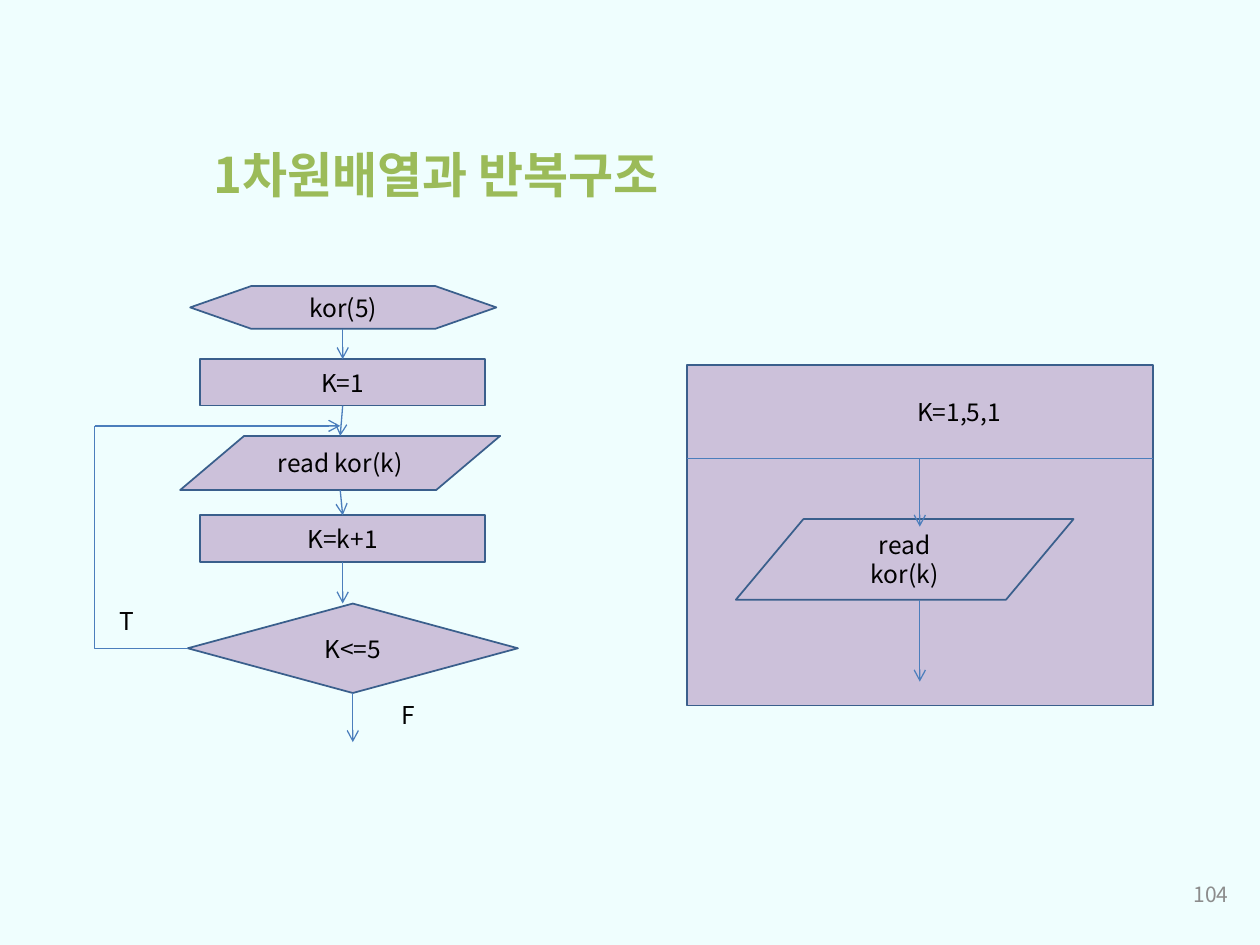
from lxml.etree import SubElement
from pptx import Presentation
from pptx.dml.color import RGBColor
from pptx.enum.shapes import MSO_CONNECTOR, MSO_SHAPE
from pptx.enum.text import MSO_ANCHOR, PP_ALIGN
from pptx.oxml.ns import qn
from pptx.util import Inches, Pt

FONT = "Noto Sans CJK KR"
BACKGROUND, LILAC, OUTLINE, ARROW = "EFFEFE", "CCC1DA", "3A5F8C", "4B7EBC"
BLACK, GRAY, GREEN = "000000", "8C8C8C", "9BBB59"


def color(value):
    """Turn a hex string into a colour."""
    return RGBColor.from_string(value)


def write(shape, lines, align=PP_ALIGN.LEFT, anchor=MSO_ANCHOR.TOP, wrap=True,
          ink=BLACK, size=14, bold=False):
    """Fill a shape with one paragraph for each line."""
    frame = shape.text_frame
    for name, value in {"word_wrap": wrap, "vertical_anchor": anchor}.items():
        setattr(frame, name, value)
    frame.text = lines
    for paragraph in frame.paragraphs:
        paragraph.alignment = align
        for run in paragraph.runs:
            for name, value in {"name": FONT, "size": Pt(size), "bold": bold}.items():
                setattr(run.font, name, value)
            run.font.color.rgb = color(ink)
            SubElement(run.font._element, qn("a:ea")).set("typeface", FONT)


def add_label(slide, box, text, **formats):
    """Place a text box."""
    write(slide.shapes.add_textbox(*map(Inches, box)), text, **formats)


def add_node(slide, kind, box, text=""):
    """Place an outlined lilac shape with centred text."""
    shape = slide.shapes.add_shape(kind, *map(Inches, box))
    shape.shadow.inherit = False
    shape.fill.solid()
    shape.fill.fore_color.rgb = color(LILAC)
    shape.line.color.rgb = color(OUTLINE)
    shape.line.width = Pt(1)
    if text:
        write(shape, text, PP_ALIGN.CENTER, MSO_ANCHOR.MIDDLE)


def add_line(slide, start, end, arrow=True, kind=MSO_CONNECTOR.STRAIGHT):
    """Draw a connector, with an arrowhead at its end if wanted."""
    connector = slide.shapes.add_connector(kind, *map(Inches, (*start, *end)))
    connector.line.color.rgb = color(ARROW)
    connector.line.width = Pt(0.75)
    properties = connector._element.spPr
    if arrow:
        SubElement(properties.find(qn("a:ln")), qn("a:tailEnd")).set("type", "arrow")
    SubElement(properties, qn("a:effectLst"))
    return connector


def add_flowchart(slide, left, top):
    """Draw the counting loop as a flowchart."""
    steps = [
        (MSO_SHAPE.FLOWCHART_PREPARATION, 0.76, 0, 2.43, 0.34, "kor(5)"),
        (MSO_SHAPE.RECTANGLE, 0.84, 0.58, 2.26, 0.37, "K=1"),
        (MSO_SHAPE.FLOWCHART_DATA, 0.68, 1.19, 2.54, 0.43, "read kor(k)"),
        (MSO_SHAPE.RECTANGLE, 0.84, 1.82, 2.26, 0.37, "K=k+1"),
        (MSO_SHAPE.FLOWCHART_DECISION, 0.74, 2.52, 2.62, 0.71, "K<=5"),
    ]
    for kind, x, y, width, height, text in steps:
        add_node(slide, kind, (left + x, top + y, width, height), text)
    middle, read_middle, decision_middle = left + 1.97, left + 1.95, left + 2.05
    ports = [middle, middle, read_middle, middle, middle]
    for index in range(len(steps) - 1):
        bottom = steps[index][2] + steps[index][4]
        add_line(slide, (ports[index], top + bottom),
                 (ports[index + 1], top + steps[index + 1][2]))
    add_line(slide, (decision_middle, top + 3.23), (decision_middle, top + 3.62))
    loop = add_line(slide, (left + 0.74, top + 2.88), (left, top + 1.11),
                    False, MSO_CONNECTOR.ELBOW)
    loop._element.spPr.find(qn("a:prstGeom")).set("prst", "bentConnector2")
    add_line(slide, (left, top + 1.11), (read_middle, top + 1.11))
    for text, x, y in [("T", 0.1, 2.49), ("F", 2.34, 3.24)]:
        add_label(slide, (left + x, top + y, 0.74, 0.34), text)


def add_loop_block(slide, left, top, width, height):
    """Draw the same loop as a block with a header."""
    middle, divider = left + width / 2, top + 0.74
    add_node(slide, MSO_SHAPE.RECTANGLE, (left, top, width, height))
    add_line(slide, (left, divider), (left + width, divider), False)
    add_node(slide, MSO_SHAPE.FLOWCHART_DATA,
             (left + 0.39, top + 1.22, 2.68, 0.64), "read\nkor(k)")
    add_label(slide, (left + 1.73, top + 0.2, 1.73, 0.34), "K=1,5,1")
    add_line(slide, (middle, divider), (middle, top + 1.28))
    add_line(slide, (middle, top + 1.86), (middle, top + 2.51))


def main():
    """Build and save the slide."""
    presentation = Presentation()
    presentation.slide_width, presentation.slide_height = Inches(10), Inches(7.5)
    slide = presentation.slides.add_slide(presentation.slide_layouts[6])
    slide.background.fill.solid()
    slide.background.fill.fore_color.rgb = color(BACKGROUND)
    add_flowchart(slide, 0.75, 2.27)
    add_loop_block(slide, 5.45, 2.9, 3.7, 2.7)
    add_label(slide, (7.52, 6.9, 2.33, 0.4), "104", align=PP_ALIGN.RIGHT,
              anchor=MSO_ANCHOR.MIDDLE, ink=GRAY, size=12)
    add_label(slide, (1.41, 1.1, 4.1, 0.57), "1차원배열과 반복구조",
              align=PP_ALIGN.CENTER, wrap=False, ink=GREEN, size=28, bold=True)
    presentation.save("out.pptx")


if __name__ == "__main__":
    main()
